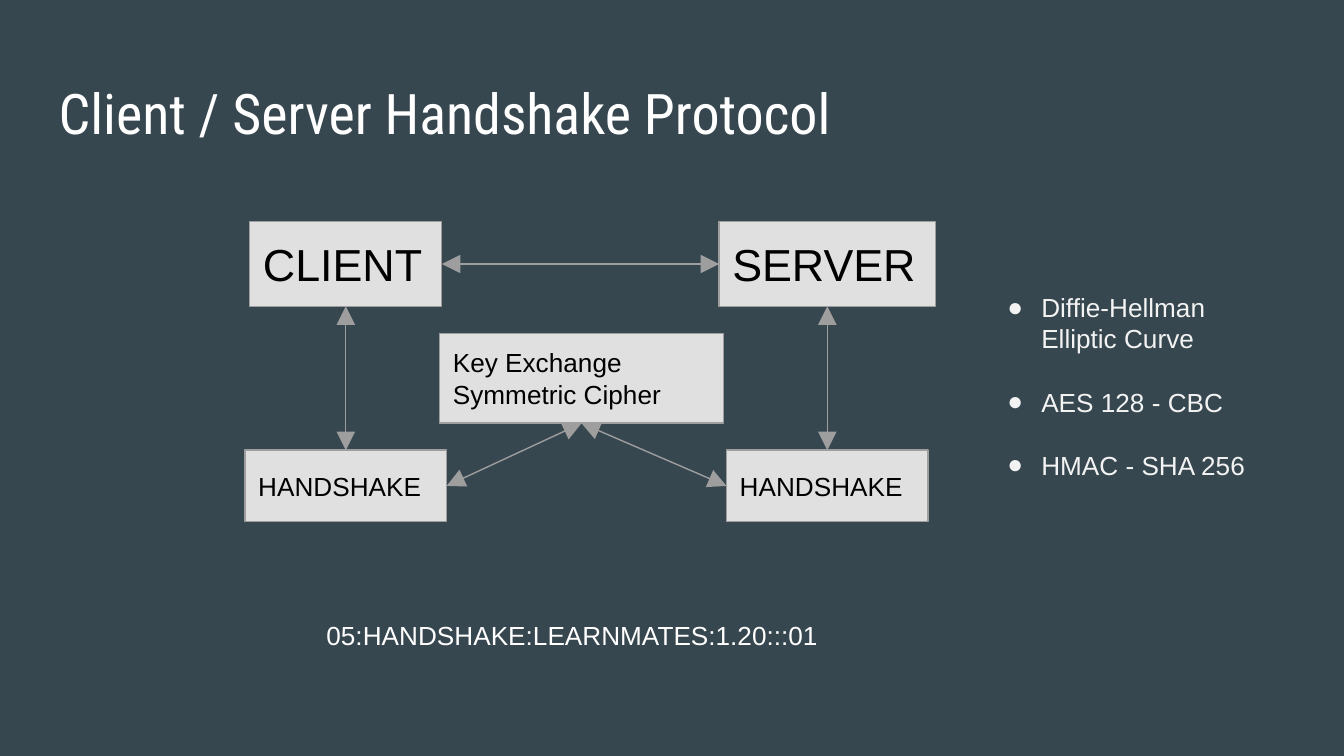
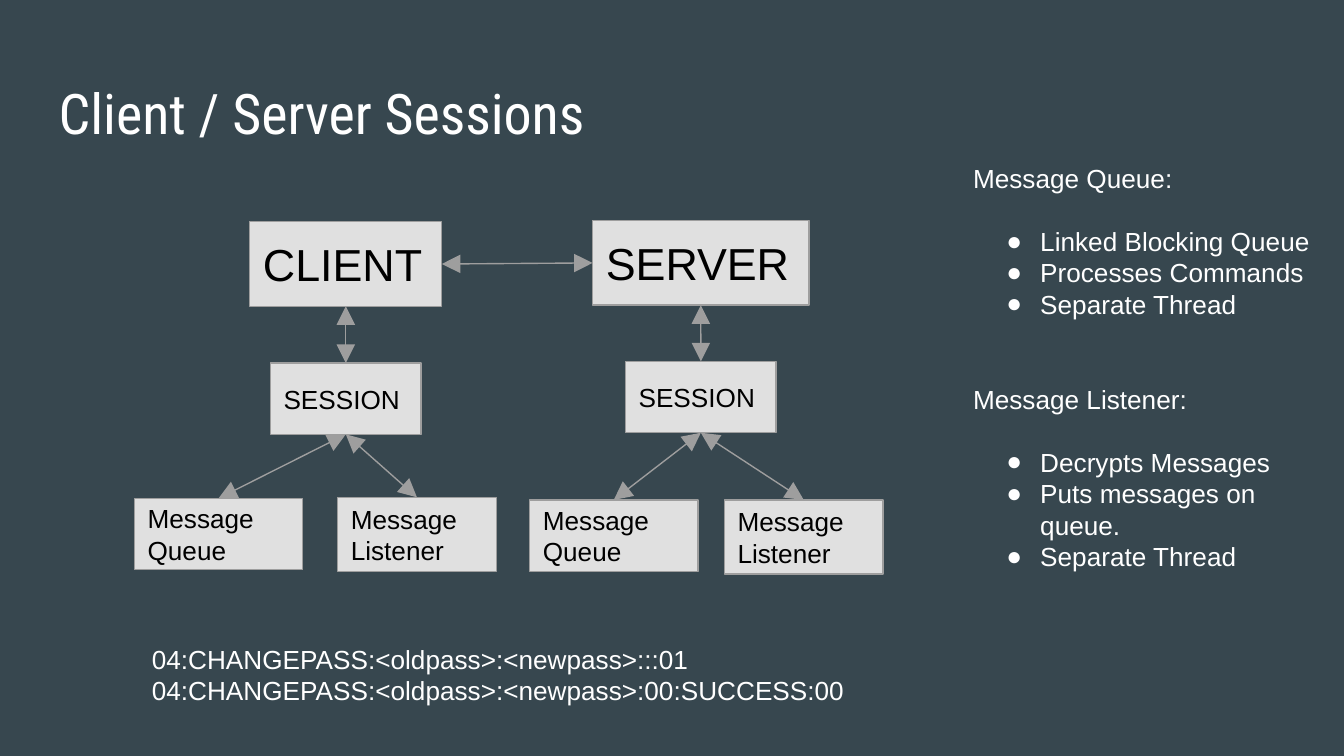
from lxml.etree import SubElement
from pptx import Presentation
from pptx.dml.color import RGBColor
from pptx.enum.shapes import MSO_CONNECTOR as CONN, MSO_SHAPE as SHAPE
from pptx.enum.text import MSO_ANCHOR as ANCHOR, MSO_AUTO_SIZE as AUTO, PP_ALIGN as ALIGN
from pptx.oxml.ns import qn
from pptx.util import Cm, Pt

# Shared look
BACK, BOX, GREY = "37474F", "E0E0E0", "9E9E9E"
WHITE, SOFT_WHITE, BLACK = "FFFFFF", "F3F3F3", "000000"
BODY, HEAD = "Arial", "Roboto Condensed"
LINE = 17  # height of one 14 pt text line, in points
TOP, LEFT, BOTTOM, RIGHT = range(4)  # connection sites of a rectangle


def rgb(hex_color):
    return RGBColor.from_string(hex_color)


def set_frame(tf, anchor=ANCHOR.TOP):
    tf.word_wrap = True
    tf.auto_size = AUTO.NONE
    tf.vertical_anchor = anchor
    tf.margin_left = tf.margin_right = tf.margin_top = tf.margin_bottom = Cm(0.25)


def set_text(p, text, size, color, font=BODY):
    p.text = text
    p.alignment = ALIGN.LEFT
    for r in p.runs:
        r.font.size = Pt(size)
        r.font.name = font
        r.font.color.rgb = rgb(color)


def add_bullet(p, color):
    pPr = p._p.get_or_add_pPr()
    pPr.set("marL", str(Cm(1.27)))
    pPr.set("indent", str(-Cm(0.64)))
    clr = SubElement(pPr, qn("a:buClr"))
    SubElement(clr, qn("a:srgbClr")).set("val", color)
    SubElement(pPr, qn("a:buFont")).set("typeface", BODY)
    SubElement(pPr, qn("a:buChar")).set("char", "●")


def add_slide(prs, title):
    s = prs.slides.add_slide(prs.slide_layouts[5])
    sp = s.shapes.title
    sp.left, sp.top, sp.width, sp.height = Cm(0.86), Cm(1.24), Cm(23.67), Cm(1.6)
    set_frame(sp.text_frame)
    set_text(sp.text_frame.paragraphs[0], title, 30, WHITE, HEAD)
    return s


def add_box(s, text, x, y, w, h, size=14):
    sp = s.shapes.add_shape(SHAPE.RECTANGLE, Cm(x), Cm(y), Cm(w), Cm(h))
    sp.shadow.inherit = False
    sp.fill.solid()
    sp.fill.fore_color.rgb = rgb(BOX)
    sp.line.color.rgb = rgb(GREY)
    sp.line.width = Pt(0.75)
    set_frame(sp.text_frame, ANCHOR.MIDDLE)
    set_text(sp.text_frame.paragraphs[0], text, size, BLACK)
    return sp


def add_arrow(s, start, start_site, end, end_site):
    """Join two boxes with a line that has a large head at both ends."""
    c = s.shapes.add_connector(CONN.STRAIGHT, 0, 0, 0, 0)
    c.begin_connect(start, start_site)
    c.end_connect(end, end_site)
    c.line.color.rgb = rgb(GREY)
    c.line.width = Pt(0.75)
    ln = c.line._get_or_add_ln()
    for tag in ("a:headEnd", "a:tailEnd"):
        SubElement(ln, qn(tag), type="triangle", w="lg", len="lg")
    SubElement(c._element.spPr, qn("a:effectLst"))


def add_text(s, x, y, w, h, items, color=WHITE):
    """Each item is (text, has bullet, blank lines before it)."""
    tf = s.shapes.add_textbox(Cm(x), Cm(y), Cm(w), Cm(h)).text_frame
    set_frame(tf)
    for i, (text, bullet, gap) in enumerate(items):
        p = tf.add_paragraph() if i else tf.paragraphs[0]
        set_text(p, text, 14, color)
        if bullet:
            add_bullet(p, color)
        p.space_before = Pt(gap * LINE)


def add_peers(s, server_x, server_y):
    """Client and server boxes with the arrow between them."""
    client = add_box(s, "CLIENT", 4.72, 4.19, 3.63, 1.6, 24)
    server = add_box(s, "SERVER", server_x, server_y, 4.09, 1.6, 24)
    add_arrow(s, client, RIGHT, server, LEFT)
    return client, server


def handshake_slide(prs):
    s = add_slide(prs, "Client / Server Handshake Protocol")
    peers = add_peers(s, 13.59, 4.19)
    exchange = add_box(s, "Key Exchange\nSymmetric Cipher", 8.31, 6.3, 5.36, 1.7)
    for peer, x, inner_side in zip(peers, (4.63, 13.73), (RIGHT, LEFT)):
        handshake = add_box(s, "HANDSHAKE", x, 8.51, 3.81, 1.35)
        add_arrow(s, peer, BOTTOM, handshake, TOP)
        add_arrow(s, exchange, BOTTOM, handshake, inner_side)

    # Algorithms and sample message
    add_text(s, 18.16, 5.26, 7.09, 4.6, [
        ("Diffie-Hellman \nElliptic Curve", True, 0),
        ("AES 128 - CBC", True, 1),
        ("HMAC - SHA 256", True, 1),
    ], SOFT_WHITE)
    add_text(s, 5.92, 11.46, 11.76, 1.35,
             [("05:HANDSHAKE:LEARNMATES:1.20:::01", False, 0)])


def sessions_slide(prs):
    s = add_slide(prs, "Client / Server Sessions")
    peers = add_peers(s, 11.2, 4.17)

    # Session position, then queue and listener positions, for each peer
    places = [((5.11, 6.86), (2.54, 9.42), (6.38, 9.4)),
              ((11.82, 6.83), (10.01, 9.45), (13.69, 9.45))]
    for peer, (session_at, queue_at, listener_at) in zip(peers, places):
        session = add_box(s, "SESSION", *session_at, 2.85, 1.35)
        queue = add_box(s, "Message Queue", *queue_at, 3.18, 1.35)
        listener = add_box(s, "Message Listener", *listener_at, 3, 1.4)
        add_arrow(s, peer, BOTTOM, session, TOP)
        for part in (queue, listener):
            add_arrow(s, session, BOTTOM, part, TOP)

    # Explanation and sample messages
    add_text(s, 18.14, 2.82, 6.91, 8.92, [
        ("Message Queue:", False, 0),
        ("Linked Blocking Queue", True, 1),
        ("Processes Commands", True, 0),
        ("Separate Thread", True, 0),
        ("Message Listener:", False, 2),
        ("Decrypts Messages", True, 1),
        ("Puts messages on queue.", True, 0),
        ("Separate Thread", True, 0),
    ])
    add_text(s, 2.62, 11.91, 14.25, 1.7, [
        ("04:CHANGEPASS:<oldpass>:<newpass>:::01", False, 0),
        ("04:CHANGEPASS:<oldpass>:<newpass>:00:SUCCESS:00", False, 0),
    ])


def main():
    prs = Presentation()
    prs.slide_width, prs.slide_height = Cm(25.4), Cm(14.29)
    fill = prs.slide_master.background.fill
    fill.solid()
    fill.fore_color.rgb = rgb(BACK)
    handshake_slide(prs)
    sessions_slide(prs)
    prs.save("out.pptx")


if __name__ == "__main__":
    main()
